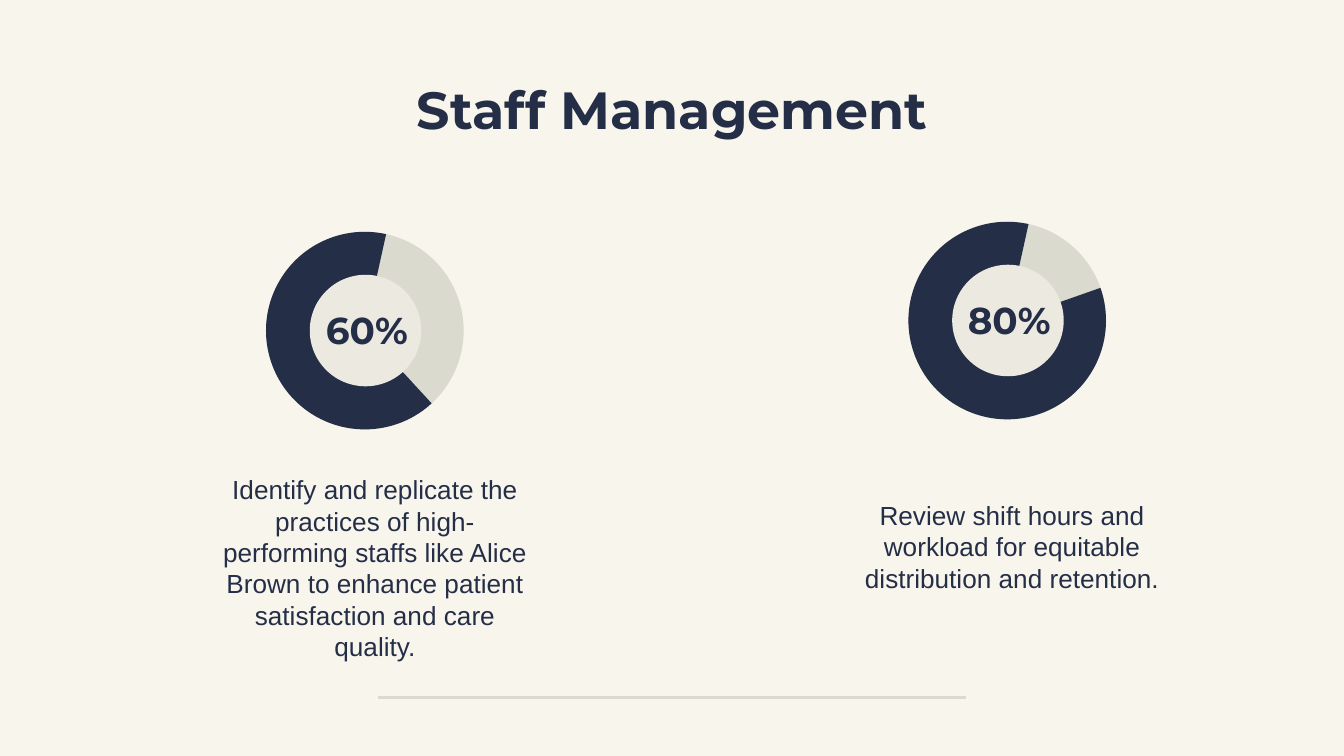
from dataclasses import dataclass

from lxml import etree
from pptx import Presentation
from pptx.dml.color import RGBColor
from pptx.enum.shapes import MSO_CONNECTOR, MSO_SHAPE
from pptx.enum.text import MSO_ANCHOR, PP_ALIGN
from pptx.oxml.ns import qn
from pptx.util import Pt

STRAIGHT = MSO_CONNECTOR.STRAIGHT
OVAL = MSO_SHAPE.OVAL
BLOCK_ARC = MSO_SHAPE.BLOCK_ARC
MIDDLE = MSO_ANCHOR.MIDDLE
CENTER = PP_ALIGN.CENTER

EMU_PER_PX = 4572
RING, HOLE = 294, 166
LABEL_W, LABEL_H = 200, 114
TEXT_INSET = 20


def px(*values):
    return [v * EMU_PER_PX for v in values]


@dataclass(frozen=True)
class Theme:
    paper: RGBColor = RGBColor.from_string("F8F5EC")
    ink: RGBColor = RGBColor.from_string("252E47")
    track: RGBColor = RGBColor.from_string("DADACE")
    hole: RGBColor = RGBColor.from_string("ECE9E1")
    heading_font: str = "Montserrat"
    body_font: str = "Arial"
    title_size: int = 28
    label_size: int = 20
    body_size: int = 14
    rule_width: float = 1.5


class SlideBuilder:
    def __init__(self, slide, theme):
        self.s = slide
        self.theme = theme
        fill = slide.background.fill
        fill.solid()
        fill.fore_color.rgb = theme.paper

    def rule(self, x1, y1, x2, y2):
        line = self.s.shapes.add_connector(STRAIGHT, *px(x1, y1, x2, y2))
        line.line.color.rgb = self.theme.track
        line.line.width = Pt(self.theme.rule_width)
        etree.SubElement(line._element.spPr, qn("a:effectLst"))

    def text(self, box, text, size, font, bold=False):
        tf = self.s.shapes.add_textbox(*px(*box)).text_frame
        tf.word_wrap = True
        tf.vertical_anchor = MIDDLE
        inset, = px(TEXT_INSET)
        tf.margin_left = tf.margin_right = tf.margin_top = tf.margin_bottom = inset
        p = tf.paragraphs[0]
        p.alignment = CENTER
        r = p.add_run()
        r.text = text
        r.font.size = Pt(size)
        r.font.name = font
        r.font.bold = bold
        r.font.color.rgb = self.theme.ink

    def heading(self, box, text, size):
        self.text(box, text, size, self.theme.heading_font, bold=True)

    def body(self, box, text):
        self.text(box, text, self.theme.body_size, self.theme.body_font)

    def shape(self, kind, x, y, size, color):
        sp = self.s.shapes.add_shape(kind, *px(x, y, size, size))
        sp.shadow.inherit = False
        sp.fill.solid()
        sp.fill.fore_color.rgb = color
        sp.line.fill.background()
        return sp

    def donut(self, x, y, label, adjustments):
        self.shape(OVAL, x, y, RING, self.theme.track)
        arc = self.shape(BLOCK_ARC, x, y, RING, self.theme.ink)
        for i, value in enumerate(adjustments):
            arc.adjustments[i] = value
        arc.rotation = 180
        arc._element.spPr.find(qn("a:xfrm")).set("flipH", "1")
        inset = (RING - HOLE) // 2
        self.shape(OVAL, x + inset + 1, y + inset, HOLE, self.theme.hole)
        box = (x + (RING - LABEL_W) // 2 + 3, y + (RING - LABEL_H) // 2 - 1, LABEL_W, LABEL_H)
        self.heading(box, label, self.theme.label_size)


def main():
    prs = Presentation()
    prs.slide_width, prs.slide_height = px(2000, 1125)
    theme = Theme()
    slide = SlideBuilder(prs.slides.add_slide(prs.slide_layouts[6]), theme)

    slide.rule(562, 1038, 1438, 1038)
    slide.heading((157, 98, 1686, 126), "Staff Management", theme.title_size)
    slide.donut(396, 345, "60%", (46.53, 187.54, 0.24))
    slide.body(
        (300, 771, 516, 148),
        "Identify and replicate the practices of high-performing staffs like "
        "Alice Brown to enhance patient satisfaction and care quality.",
    )
    slide.donut(1352, 330, "80%", (46.53, 11.6, 0.23))
    slide.body(
        (1267, 723, 478, 180),
        "Review shift hours and workload for equitable distribution and retention.",
    )
    prs.save("out.pptx")


if __name__ == "__main__":
    main()
